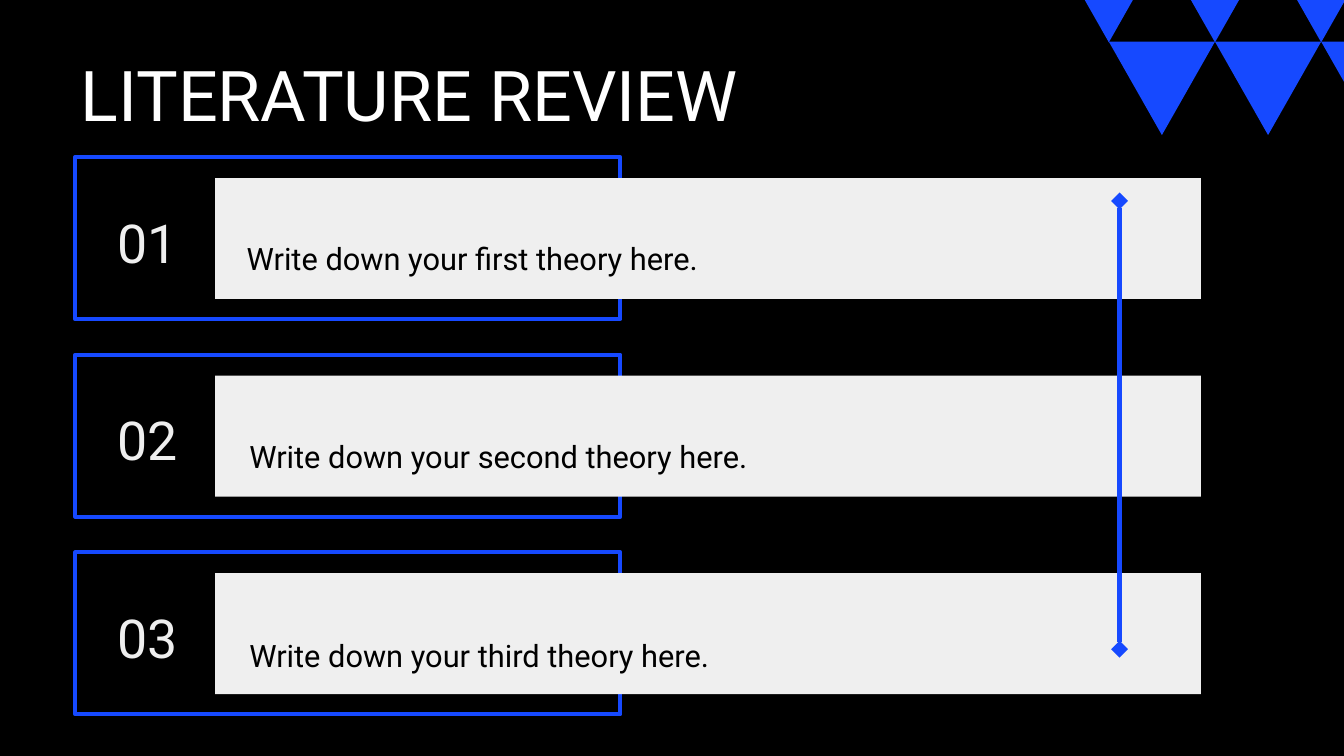
import pptx
import pptx.util
import pptx.dml.color
import pptx.enum.shapes
import pptx.enum.text
import pptx.oxml.ns
import lxml.etree

PX = 9144
THEME = {
    "font": "Roboto",
    "back": "000000", "blue": "1649FF", "bar": "EFEFEF",
    "ink": "000000", "title": "FFFFFF",
    "big": 75, "num": 57.5, "body": 33,
    "frame": 4.5, "line": 6,
}
KINDS = pptx.enum.shapes.MSO_SHAPE
ALIGN = pptx.enum.text.PP_ALIGN


def add_shape(kind, x, y, w, h, fill=None, line=None):
    shape = slide.shapes.add_shape(kind, x * PX, y * PX, w * PX, h * PX)
    shape.shadow.inherit = False
    if fill:
        shape.fill.solid()
        shape.fill.fore_color.rgb = pptx.dml.color.RGBColor.from_string(fill)
    else:
        shape.fill.background()
    if line:
        shape.line.color.rgb = pptx.dml.color.RGBColor.from_string(line)
        shape.line.width = pptx.util.Pt(THEME["frame"])
    else:
        shape.line.fill.background()
    return shape


def add_text(text, x, y, w, h, size, color, space, align=ALIGN.LEFT):
    box = slide.shapes.add_textbox(x * PX, y * PX, w * PX, h * PX)
    frame = box.text_frame
    frame.word_wrap = True
    frame.auto_size = pptx.enum.text.MSO_AUTO_SIZE.SHAPE_TO_FIT_TEXT
    frame.margin_left = frame.margin_right = 0
    frame.margin_top = frame.margin_bottom = 0
    para = frame.paragraphs[0]
    para.alignment = align
    para.line_spacing = space
    run = para.add_run()
    run.text = text
    run.font.name = THEME["font"]
    run.font.size = pptx.util.Pt(size)
    run.font.color.rgb = pptx.dml.color.RGBColor.from_string(color)


deck = pptx.Presentation()
deck.slide_width = 2000 * PX
deck.slide_height = 1125 * PX
slide = deck.slides.add_slide(deck.slide_layouts[6])
slide.background.fill.solid()
slide.background.fill.fore_color.rgb = pptx.dml.color.RGBColor.from_string(THEME["back"])

rows = [
    ("01", "Write down your first theory here.", 367, 335),
    ("02", "Write down your second theory here.", 371, 630),
    ("03", "Write down your third theory here.", 371, 925),
]
for i, (num, text, left, top) in enumerate(rows):
    y = 234 + 294 * i
    add_shape(KINDS.RECTANGLE, 112, y, 811, 241, line=THEME["blue"])
    add_shape(KINDS.RECTANGLE, 320, y + 31, 1467, 180, fill=THEME["bar"])
    add_text(num, 120, y + 98, 200, 70, size=THEME["num"], color=THEME["bar"],
             space=0.78, align=ALIGN.CENTER)
    add_text(text, left, top, 1038, 56, size=THEME["body"], color=THEME["ink"], space=1.4)

add_text("LITERATURE REVIEW", 120, 90, 1366, 104, size=THEME["big"],
         color=THEME["title"], space=0.91)

link = slide.shapes.add_connector(
    pptx.enum.shapes.MSO_CONNECTOR.STRAIGHT, 1666 * PX, 966 * PX, 1666 * PX, 299 * PX)
link.line.color.rgb = pptx.dml.color.RGBColor.from_string(THEME["blue"])
link.line.width = pptx.util.Pt(THEME["line"])
props = link._element.spPr
stroke = props.find(pptx.oxml.ns.qn("a:ln"))
for end in ("a:headEnd", "a:tailEnd"):
    lxml.etree.SubElement(stroke, pptx.oxml.ns.qn(end), type="diamond")
lxml.etree.SubElement(props, pptx.oxml.ns.qn("a:effectLst"))

for left, top in ((1571, -76), (1650, 62)):
    for i in range(3):
        tri = add_shape(KINDS.ISOSCELES_TRIANGLE, left + 158 * i, top, 158, 139,
                        fill=THEME["blue"])
        tri.rotation = 180

deck.save("out.pptx")
